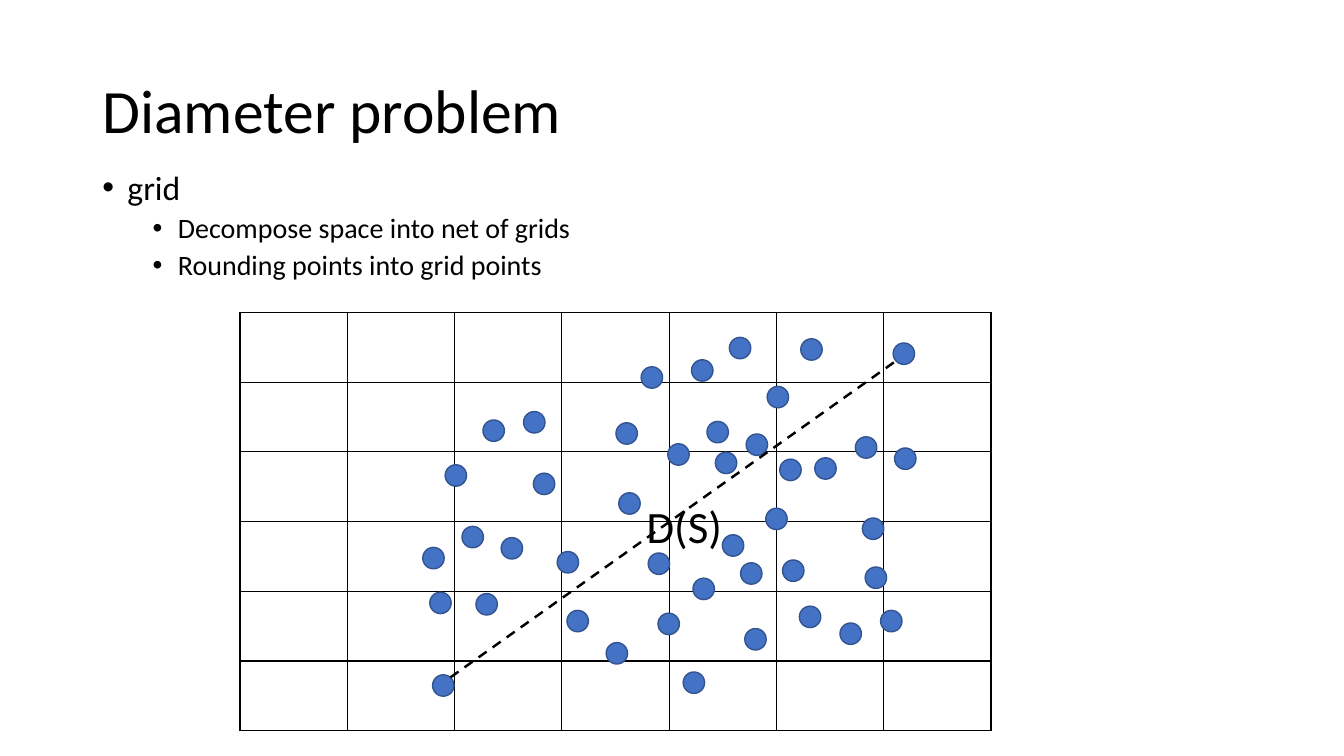
import dataclasses

import pptx
import pptx.dml.color
import pptx.enum.dml
import pptx.enum.shapes
import pptx.enum.text
import pptx.oxml
import pptx.oxml.ns
import pptx.util
from lxml import etree

Pt = pptx.util.Pt


@dataclasses.dataclass(frozen=True)
class Theme:
    font: str = "Calibri"
    ink: str = "000000"
    dot: str = "4472C4"
    dot_edge: str = "325491"
    title_size: int = 44
    topic_size: int = 24
    detail_size: int = 20
    label_size: int = 32


theme = Theme()
DRAWING_NS = pptx.oxml.ns.nsdecls("a")


def rgb(value):
    return pptx.dml.color.RGBColor.from_string(value)


def style_text(paragraph, size):
    paragraph.font.name = theme.font
    paragraph.font.size = Pt(size)
    paragraph.font.color.rgb = rgb(theme.ink)


deck = pptx.Presentation()
deck.slide_width, deck.slide_height = Pt(960), Pt(540)
slide = deck.slides.add_slide(deck.slide_layouts[5])

# Title
title = slide.shapes.title
title.left, title.top, title.width, title.height = Pt(66), Pt(28.75), Pt(828), Pt(104.4)
title.text_frame.text = "Diameter problem"
title.text_frame.vertical_anchor = pptx.enum.text.MSO_ANCHOR.MIDDLE
heading = title.text_frame.paragraphs[0]
heading.alignment = pptx.enum.text.PP_ALIGN.LEFT
heading.line_spacing = 0.9
style_text(heading, theme.title_size)

# Bulleted explanation: text, level, indent, space before, size
explanation = slide.shapes.add_textbox(Pt(66), Pt(118.8), Pt(828), Pt(368)).text_frame
explanation.word_wrap = True
points = [
    ("grid", 0, 18, 10, theme.topic_size),
    ("Decompose space into net of grids", 1, 54, 5, theme.detail_size),
    ("Rounding points into grid points", 1, 54, 5, theme.detail_size),
]
for index, (text, level, indent, space, size) in enumerate(points):
    point = explanation.add_paragraph() if index else explanation.paragraphs[0]
    point.text = text
    point.level = level
    point.line_spacing = 0.9
    point.space_before = Pt(space)
    properties = point._p.get_or_add_pPr()
    properties.set("marL", str(Pt(indent)))
    properties.set("indent", str(Pt(-18)))
    properties.append(pptx.oxml.parse_xml(f'<a:buFont {DRAWING_NS} typeface="Arial"/>'))
    properties.append(pptx.oxml.parse_xml(f'<a:buChar {DRAWING_NS} char="•"/>'))
    style_text(point, size)

# Grid
ROWS, COLUMNS = 6, 7
grid = slide.shapes.add_table(ROWS, COLUMNS, Pt(171.5), Pt(223.2), Pt(536.4), Pt(298.8)).table
grid.first_row = grid.horz_banding = False
for cell in grid.iter_cells():
    cell.fill.background()
    cell_properties = cell._tc.get_or_add_tcPr()
    for position, side in enumerate("LRTB"):
        cell_properties.insert(position, pptx.oxml.parse_xml(
            f'<a:ln{side} {DRAWING_NS} w="{Pt(1)}"><a:solidFill>'
            f'<a:srgbClr val="{theme.ink}"/></a:solidFill></a:ln{side}>'))

# Point set S: left and top of each dot
DOT_SIZE = 15.3
dots = [
    (318, 332), (330, 376), (302, 391), (345, 300), (494, 257), (638, 245),
    (571, 433), (307, 423), (629, 436), (340, 424), (405, 436), (309, 482),
    (458, 262), (374, 294), (511, 323), (381, 338), (572, 242), (521, 241),
    (548, 276), (557, 328), (440, 302), (516, 382), (442, 352), (358, 384),
    (495, 413), (433, 459), (505, 301), (477, 317), (533, 310), (559, 400),
    (398, 394), (488, 480), (547, 363), (463, 395), (618, 405), (470, 438),
    (611, 312), (582, 327), (639, 320), (616, 370), (529, 402), (600, 445),
    (532, 449),
]
for left, top in dots:
    dot = slide.shapes.add_shape(
        pptx.enum.shapes.MSO_SHAPE.OVAL, Pt(left), Pt(top), Pt(DOT_SIZE), Pt(DOT_SIZE))
    dot.shadow.inherit = False
    dot.fill.solid()
    dot.fill.fore_color.rgb = rgb(theme.dot)
    dot.line.color.rgb = rgb(theme.dot_edge)
    dot.line.width = Pt(1)

# Diameter between the two farthest points
diameter = slide.shapes.add_connector(
    pptx.enum.shapes.MSO_CONNECTOR.STRAIGHT, Pt(321.8), Pt(483.8), Pt(640), Pt(257.8))
diameter.line.color.rgb = rgb(theme.ink)
diameter.line.width = Pt(1.75)
diameter.line.dash_style = pptx.enum.dml.MSO_LINE.DASH
etree.SubElement(diameter._element.spPr, pptx.oxml.ns.qn("a:effectLst"))

# Diameter label
label = slide.shapes.add_textbox(Pt(454.3), Pt(352.8), Pt(69.1), Pt(46.1)).text_frame
label.word_wrap = False
label.auto_size = pptx.enum.text.MSO_AUTO_SIZE.SHAPE_TO_FIT_TEXT
label.text = "D(S)"
label.paragraphs[0].alignment = pptx.enum.text.PP_ALIGN.CENTER
style_text(label.paragraphs[0], theme.label_size)

deck.save("out.pptx")
